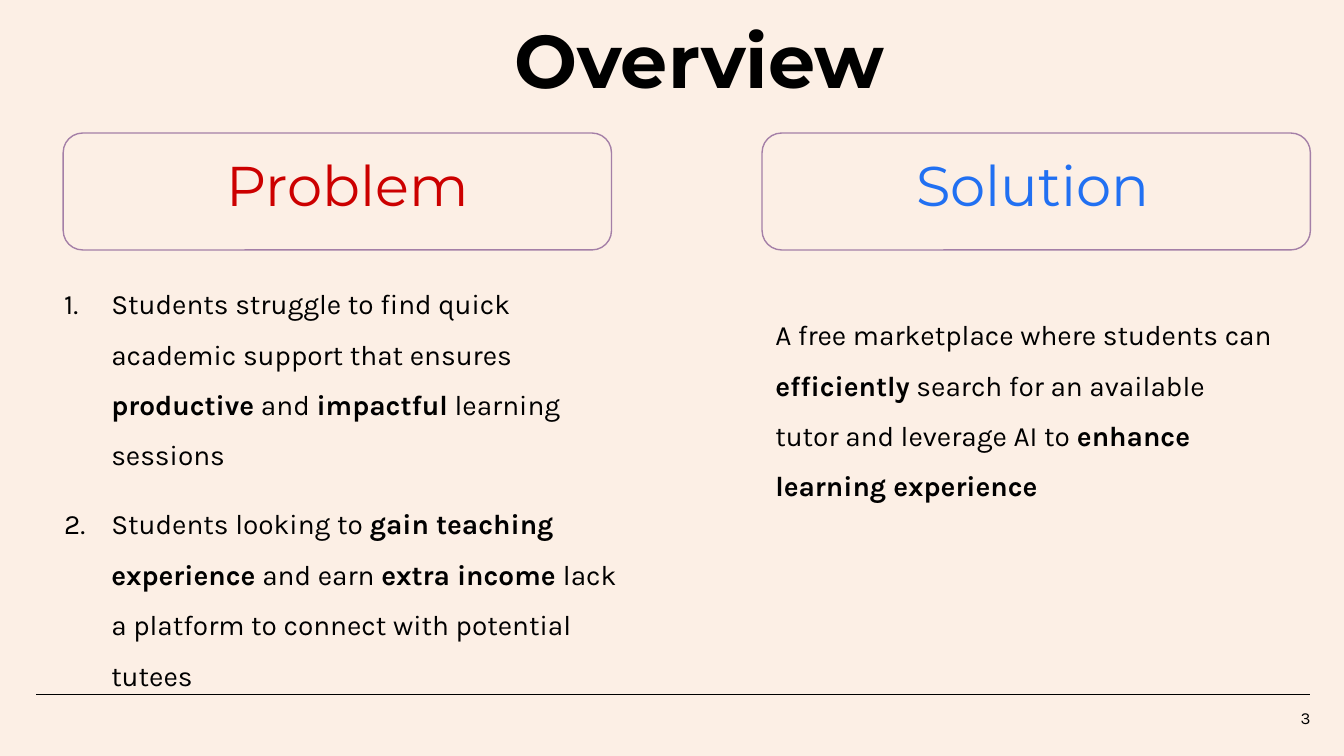
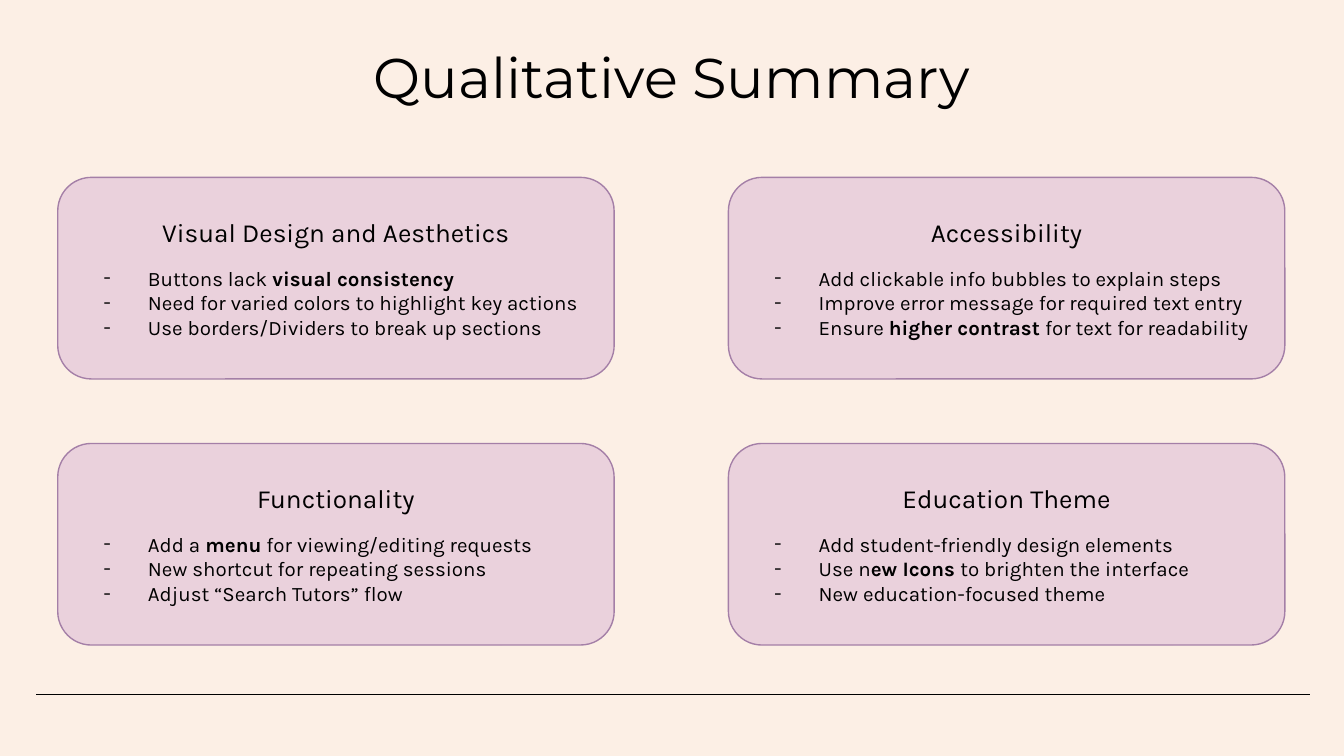
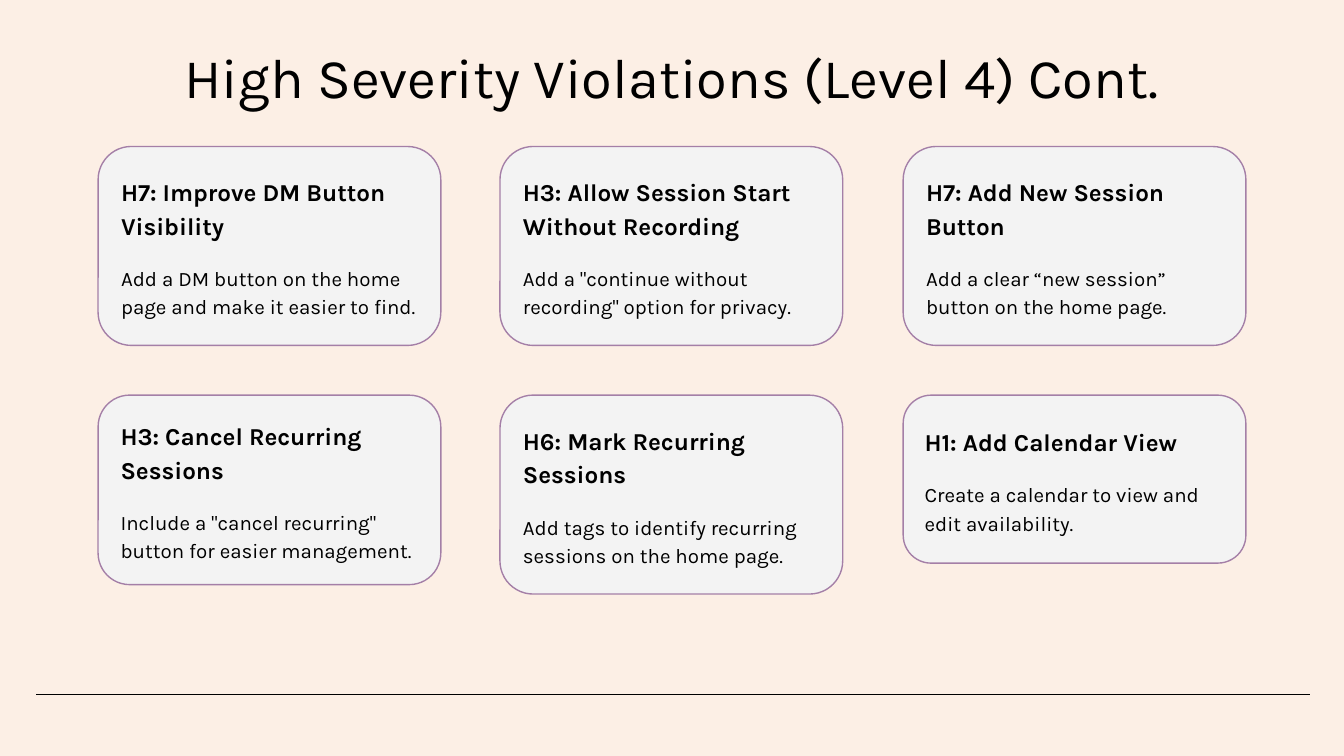
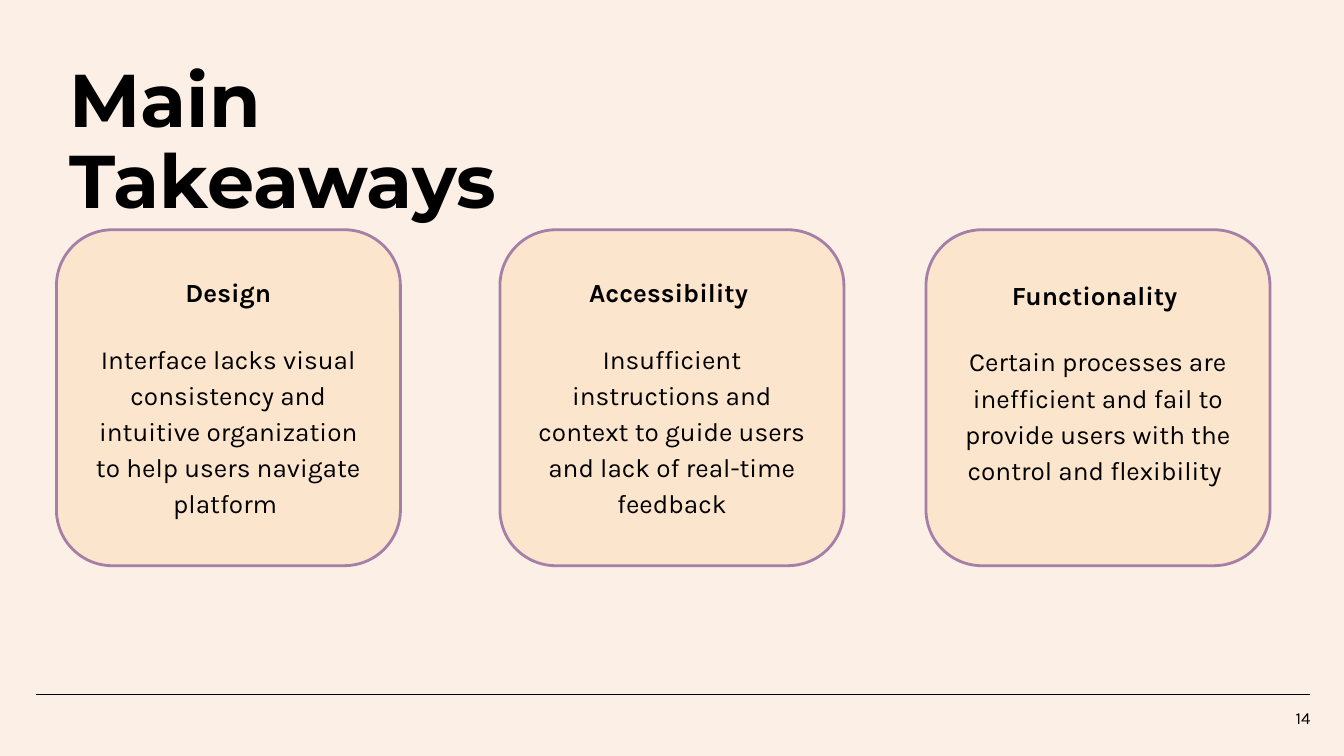
from lxml import etree
from pptx import Presentation
from pptx.dml.color import RGBColor
from pptx.enum.shapes import MSO_CONNECTOR, MSO_SHAPE
from pptx.enum.text import MSO_ANCHOR, PP_ALIGN
from pptx.oxml.ns import qn
from pptx.util import Inches, Pt

LEFT, MID, RIGHT = PP_ALIGN.LEFT, PP_ALIGN.CENTER, PP_ALIGN.RIGHT
TOP, CENTER = MSO_ANCHOR.TOP, MSO_ANCHOR.MIDDLE
ROUND, STRAIGHT = MSO_SHAPE.ROUNDED_RECTANGLE, MSO_CONNECTOR.STRAIGHT

CREAM, BLACK, PURPLE = "FCEFE5", "000000", "A47FA7"
RED, BLUE = "CC0000", "2170F2"
PINK, GREY, PEACH = "EAD1DC", "F3F3F3", "FCE5CD"
BODY, HEAD = "Karla", "Montserrat"


def color(code):
    return RGBColor.from_string(code)


def add_bullet(para, mark, left, hang):
    """Give a hanging dash, or a running number when mark is '1.'."""
    props = para._p.get_or_add_pPr()
    props.set("marL", str(Inches(left)))
    props.set("indent", str(Inches(-hang)))
    tint = etree.SubElement(props, qn("a:buClr"))
    etree.SubElement(tint, qn("a:srgbClr"), val=BLACK)
    etree.SubElement(props, qn("a:buFont"), typeface=BODY)
    if mark == "1.":
        etree.SubElement(props, qn("a:buAutoNum"), type="arabicPeriod")
    else:
        etree.SubElement(props, qn("a:buChar"), char=mark)


def write(frame, text, size=14, font=BODY, tint=BLACK, bold=False,
          align=LEFT, line=1.0, before=0, bullet=None):
    """Add a paragraph; parts between double asterisks are bold."""
    para = frame.paragraphs[0]
    if para.runs:
        para = frame.add_paragraph()
    if bullet:
        add_bullet(para, *bullet)
    para.alignment = align
    para.line_spacing = line
    para.space_before = Pt(before)
    for i, part in enumerate(text.split("**")):
        if not part:
            continue
        run = para.add_run()
        run.text = part
        run.font.name = font
        run.font.size = Pt(size)
        run.font.bold = bold or i % 2 == 1
        run.font.color.rgb = color(tint)


def set_frame(shape, anchor, bottom=0.1):
    frame = shape.text_frame
    frame.word_wrap = True
    frame.vertical_anchor = anchor
    frame.margin_left = frame.margin_right = frame.margin_top = Inches(0.1)
    frame.margin_bottom = Inches(bottom)
    return frame


def add_box(slide, x, y, w, h, anchor=TOP):
    box = slide.shapes.add_textbox(Inches(x), Inches(y), Inches(w), Inches(h))
    return set_frame(box, anchor)


def add_card(slide, x, y, w, h, fill=None, width=0.75, bottom=0.1):
    card = slide.shapes.add_shape(ROUND, Inches(x), Inches(y), Inches(w), Inches(h))
    card.shadow.inherit = False
    if fill:
        card.fill.solid()
        card.fill.fore_color.rgb = color(fill)
    else:
        card.fill.background()
    card.line.color.rgb = color(PURPLE)
    card.line.width = Pt(width)
    return set_frame(card, CENTER, bottom)


def add_title(slide, text, x=0.73, y=0.27, w=8.54, h=1.3, **style):
    style = {"size": 30, "font": HEAD, "line": 0.9} | style
    write(add_box(slide, x, y, w, h), text, **style)


def add_slide(deck, page=None):
    """Start a slide with the foot rule and, if given, its page number."""
    slide = deck.slides.add_slide(deck.slide_layouts[6])
    rule = slide.shapes.add_connector(
        STRAIGHT, Inches(0.27), Inches(5.17), Inches(9.75), Inches(5.17))
    rule.line.color.rgb = color(BLACK)
    rule.line.width = Pt(0.75)
    etree.SubElement(rule._element.spPr, qn("a:effectLst"))
    if page:
        write(add_box(slide, 9.25, 5.17, 0.6, 0.34, CENTER), page, size=9, align=RIGHT)
    return slide


def overview(deck):
    slide = add_slide(deck, "3")
    for x in (5.67, 0.47):
        add_card(slide, x, 0.99, 4.08, 0.87)
    add_title(slide, "Problem", 1.59, 1.08, 3.06, 1.06, tint=RED)
    add_title(slide, "Solution", 6.72, 1.08, 2.53, 1.06, tint=BLUE)
    add_title(slide, "Overview", 3.73, 0.08, 4.93, 1.24, size=40, bold=True)

    needs = (
        "Students struggle to find quick academic support that ensures "
        "**productive** and **impactful** learning sessions",
        "Students looking to **gain teaching experience** and earn "
        "**extra income **lack a platform to connect with potential tutees",
    )
    frame = add_box(slide, 0.23, 1.91, 4.56, 2.57)
    for i, need in enumerate(needs):
        write(frame, need, size=15, line=1.5, before=10 * i, bullet=("1.", 0.5, 0.35))
    write(add_box(slide, 5.67, 2.14, 3.91, 2.57),
          "A free marketplace where students can **efficiently** search for an "
          "available tutor and leverage AI to **enhance learning experience**",
          size=15, line=1.5)


def summary(deck):
    slide = add_slide(deck)
    add_title(slide, "Qualitative Summary", align=MID)
    topics = (
        ("Visual Design and Aesthetics",
         "Buttons lack **visual consistency**",
         "Need for varied colors to highlight key actions",
         "Use borders/Dividers to break up sections"),
        ("Accessibility",
         "Add clickable info bubbles to explain steps",
         "Improve error message for required text entry",
         "Ensure **higher contrast** for text for readability"),
        ("Functionality",
         "Add a **menu** for viewing/editing requests",
         "New shortcut for repeating sessions",
         "Adjust “Search Tutors” flow"),
        ("Education Theme",
         "Add student-friendly design elements",
         "Use n**ew Icons **to brighten the interface",
         "New education-focused theme"),
    )
    for i, (topic, *points) in enumerate(topics):
        row, col = divmod(i, 2)
        frame = add_card(slide, 0.43 + 4.99 * col, 1.32 + 1.98 * row, 4.14, 1.5, PINK)
        write(frame, topic, align=MID)
        for j, point in enumerate(points):
            write(frame, point, size=11, before=0 if j else 9.4, bullet=("-", 0.5, 0.33))


def severity(deck):
    slide = add_slide(deck)
    add_title(slide, "High Severity Violations (Level 4) Cont.", font=BODY, align=MID)
    issues = (
        ("H7: Improve DM Button Visibility", 1.48,
         "Add a DM button on the home page and make it easier to find."),
        ("H3: Allow Session Start Without Recording", 1.48,
         'Add a "continue without recording" option for privacy.'),
        ("H7: Add New Session Button", 1.48,
         "Add a clear “new session” button on the home page."),
        ("H3: Cancel Recurring Sessions", 1.41,
         'Include a "cancel recurring" button for easier management.'),
        ("H6: Mark Recurring Sessions", 1.48,
         "Add tags to identify recurring sessions on the home page."),
        ("H1: Add Calendar View", 1.25,
         "Create a calendar to view and edit availability."),
    )
    lefts = (0.73, 3.72, 6.72)
    for i, (issue, height, remedy) in enumerate(issues):
        row, col = divmod(i, 3)
        frame = add_card(slide, lefts[col], 1.09 + 1.85 * row, 2.55, height, GREY)
        write(frame, issue, size=13, bold=True, line=1.15)
        write(frame, remedy, size=11, line=1.15, before=12)


def lessons(deck):
    slide = add_slide(deck, "14")
    add_title(slide, "Main Takeaways", 0.42, 0.37, 4.93, size=40, bold=True)
    themes = (
        (0.42, "Design", 0.1,
         "Interface lacks visual consistency and intuitive organization "
         "to help users navigate platform "),
        (3.72, "Accessibility ", 0.1,
         "Insufficient instructions and context to guide users "
         "and lack of real-time feedback"),
        (6.89, "Functionality ", 0.33,
         "Certain processes are inefficient and fail to provide users "
         "with the control and flexibility "),
    )
    for x, theme, bottom, finding in themes:
        frame = add_card(slide, x, 1.71, 2.56, 2.5, PEACH, 1.5, bottom)
        write(frame, theme, bold=True, align=MID)
        write(frame, finding, align=MID, line=1.15, before=16.4)


def main():
    deck = Presentation()
    deck.slide_width = Inches(10)
    deck.slide_height = deck.slide_width * 9 // 16
    ground = deck.slide_master.background.fill
    ground.solid()
    ground.fore_color.rgb = color(CREAM)
    for build in (overview, summary, severity, lessons):
        build(deck)
    deck.save("out.pptx")


if __name__ == "__main__":
    main()
